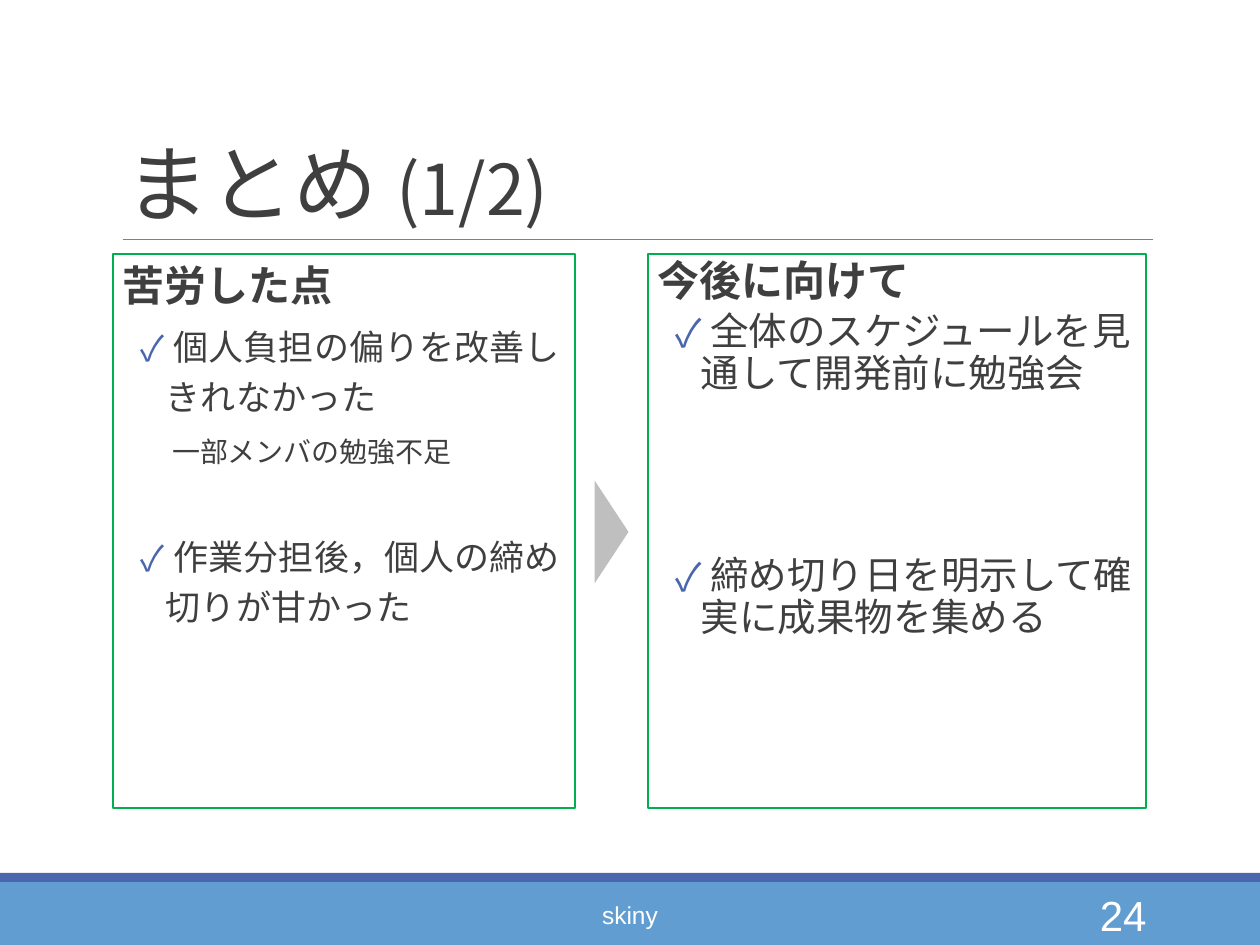
from lxml import etree
from pptx import Presentation
from pptx import util as u
from pptx.dml.color import RGBColor
from pptx.enum import shapes, text
from pptx.oxml.ns import qn

PX = 914400 // 126
JP, LATIN = "Noto Sans CJK JP", "Arial"
COLORS = {
    "ink": "3F3F3F", "white": "FFFFFF", "rule": "7F7F7F", "frame": "00B050",
    "band": "629DD1", "accent": "4A66AC", "arrow": "BFBFBF",
}


def rgb(name):
    return RGBColor.from_string(COLORS[name])


def px(*lengths):
    return [u.Emu(n * PX) for n in lengths]


def add_block(slide, kind, box, fill=None, line=None):
    block = slide.shapes.add_shape(kind, *px(*box))
    block.shadow.inherit = False
    if fill:
        block.fill.solid()
        block.fill.fore_color.rgb = rgb(fill)
    else:
        block.fill.background()
    if line:
        block.line.color.rgb = rgb(line)
        block.line.width = u.Pt(0.75)
    else:
        block.line.fill.background()
    return block


def add_rule(slide, x1, x2, y):
    rule = slide.shapes.add_connector(
        shapes.MSO_CONNECTOR.STRAIGHT, *px(x1, y, x2, y))
    rule.line.color.rgb = rgb("rule")
    rule.line.width = u.Pt(0.5)
    etree.SubElement(rule._element.spPr, qn("a:effectLst"))


def add_run(paragraph, words, size, font=JP, color="ink", bold=False):
    run = paragraph.add_run()
    run.text = words
    run.font.size = u.Pt(size)
    run.font.name = font
    run.font.bold = bold
    run.font.color.rgb = rgb(color)
    # East Asian text takes its font from a:ea
    etree.SubElement(run.font._element, qn("a:ea"), typeface=font)


def add_label(slide, box, runs, align, anchor, font=JP, color="ink", spacing=1.0):
    frame = slide.shapes.add_textbox(*px(*box)).text_frame
    frame.word_wrap = True
    frame.vertical_anchor = anchor
    paragraph = frame.paragraphs[0]
    paragraph.alignment = align
    paragraph.line_spacing = spacing
    for words, size in runs:
        add_run(paragraph, words, size, font, color)


def add_check(paragraph):
    props = paragraph._p.get_or_add_pPr()
    props.set("marL", str(u.Inches(0.42)))
    props.set("indent", str(u.Inches(-0.2)))
    bullet_color = etree.SubElement(props, qn("a:buClr"))
    etree.SubElement(bullet_color, qn("a:srgbClr"), val=COLORS["accent"])
    etree.SubElement(props, qn("a:buFont"), typeface=JP)
    etree.SubElement(props, qn("a:buChar"), char="✓")


def add_panel(slide, box, heading, points, spacing):
    """Each point is (space before, [(words, size), ...]), one run per line."""
    panel = add_block(slide, shapes.MSO_SHAPE.RECTANGLE, box, line="frame")
    frame = panel.text_frame
    frame.word_wrap = True
    frame.vertical_anchor = text.MSO_ANCHOR.TOP
    frame.margin_left = frame.margin_right = 0
    frame.margin_top, frame.margin_bottom = px(6, 6)

    title = frame.paragraphs[0]
    title.alignment = text.PP_ALIGN.LEFT
    title.line_spacing = spacing
    title.space_after = u.Pt(2)
    add_run(title, " " + heading, 24, bold=True)

    for before, lines in points:
        point = frame.add_paragraph()
        add_check(point)
        point.level = 1
        point.alignment = text.PP_ALIGN.LEFT
        point.line_spacing = spacing
        point.space_before = u.Pt(before)
        point.space_after = u.Pt(4)
        for i, (words, size) in enumerate(lines):
            if i:
                point.add_line_break()
            add_run(point, " " + words, size)


def main():
    prs = Presentation()
    prs.slide_width, prs.slide_height = px(1260, 945)
    slide = prs.slides.add_slide(prs.slide_layouts[6])
    rectangle = shapes.MSO_SHAPE.RECTANGLE
    align, anchor = text.PP_ALIGN, text.MSO_ANCHOR

    # Footer bands and title rule
    add_block(slide, rectangle, (0, 882, 1260, 63), fill="band")
    add_block(slide, rectangle, (0, 873, 1260, 9), fill="accent")
    add_rule(slide, 123, 1153, 239)

    # Title
    add_label(slide, (113, 39, 1040, 200), [("まとめ ", 48), ("(1/2)", 40)],
              align.LEFT, anchor.BOTTOM, spacing=0.85)

    # Difficulties and the way forward
    add_panel(slide, (113, 254, 462, 554), "苦労した点", [
        (2, [("個人負担の偏りを改善しきれなかった", 20),
             ("一部メンバの勉強不足", 16)]),
        (30, [("作業分担後，個人の締め切りが甘かった", 20)]),
    ], u.Pt(28.7))
    add_panel(slide, (648, 254, 498, 554), "今後に向けて", [
        (2, [("全体のスケジュールを見通して開発前に勉強会", 22)]),
        (88, [("締め切り日を明示して確実に成果物を集める", 22)]),
    ], 0.9)

    # Footer text
    add_label(slide, (381, 890, 498, 50), [("skiny", 14)],
              align.CENTER, anchor.MIDDLE, LATIN, "white")
    add_label(slide, (1023, 890, 136, 50), [("24", 24)],
              align.RIGHT, anchor.MIDDLE, LATIN, "white")

    # Arrow between the panels
    arrow = add_block(slide, shapes.MSO_SHAPE.ISOSCELES_TRIANGLE,
                      (560, 515, 103, 34), fill="arrow")
    arrow.rotation = 90

    prs.save("out.pptx")


if __name__ == "__main__":
    main()
